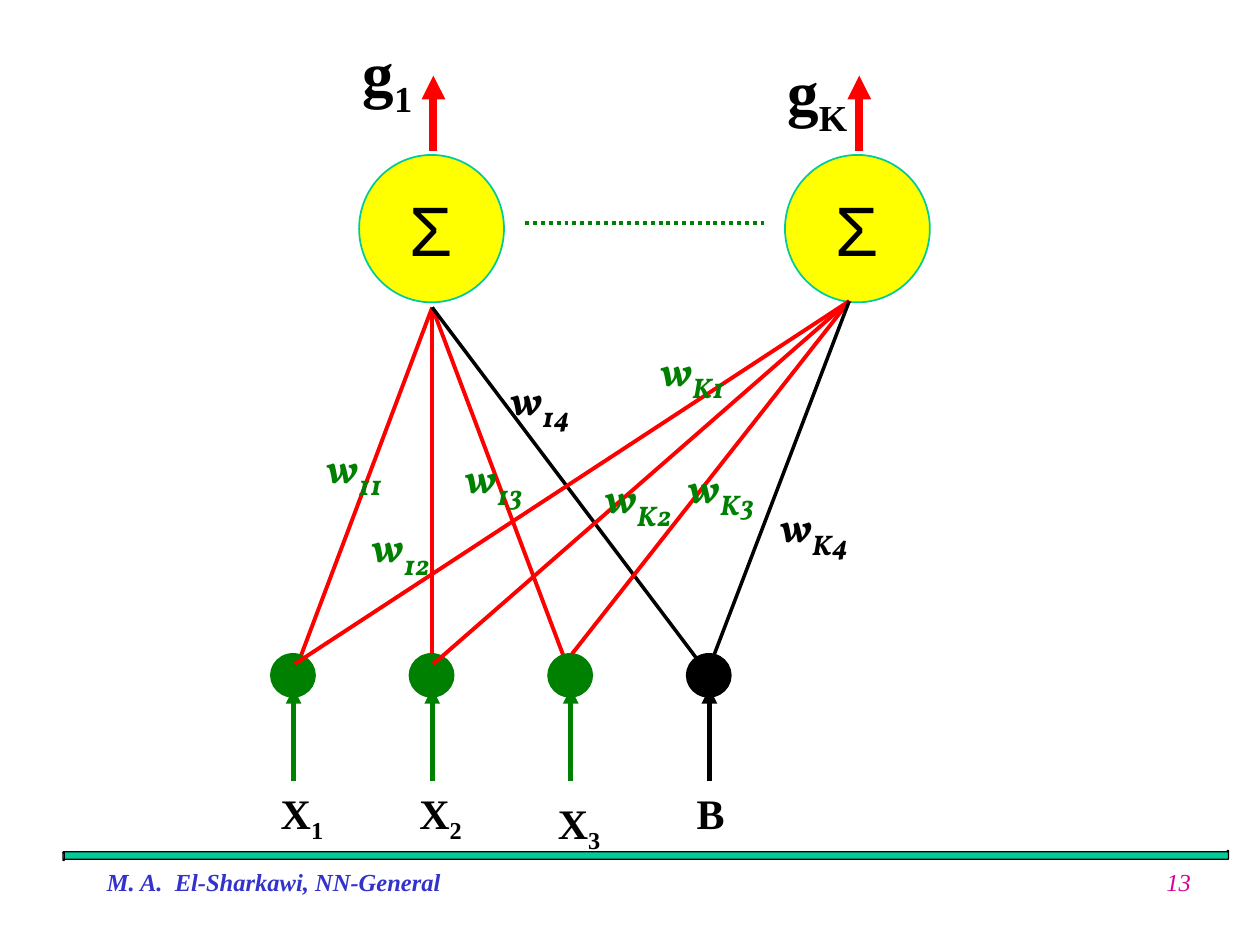
from dataclasses import dataclass

from lxml import etree
from pptx import Presentation
from pptx.dml.color import RGBColor
from pptx.enum.dml import MSO_LINE
from pptx.enum.shapes import MSO_CONNECTOR, MSO_SHAPE
from pptx.enum.text import MSO_ANCHOR, MSO_AUTO_SIZE, PP_ALIGN
from pptx.oxml.ns import qn
from pptx.util import Inches, Pt


@dataclass(frozen=True)
class Theme:
    black: str = "000000"
    green: str = "008000"
    red: str = "FF0000"
    yellow: str = "FFFF00"
    teal: str = "00CC99"
    blue: str = "3333CC"
    pink: str = "D60093"
    serif: str = "Times New Roman"
    weight_font: str = "Vollkorn"
    sigma_font: str = "Arial"
    footer_size: int = 14
    label_size: int = 24
    index_size: int = 28
    output_size: int = 36
    sigma_size: int = 40


theme = Theme()
rgb = RGBColor.from_string
presentation = Presentation()
presentation.slide_width, presentation.slide_height = Inches(10), Inches(7.5)
slide = presentation.slides.add_slide(presentation.slide_layouts[6])
shapes = slide.shapes


def add_line(start, end, color, width, arrow=False):
    line = shapes.add_connector(MSO_CONNECTOR.STRAIGHT, *map(Inches, start + end))
    line.line.color.rgb = rgb(color)
    line.line.width = Pt(width)
    if arrow:
        etree.SubElement(line.line._get_or_add_ln(), qn("a:tailEnd"), type="triangle")
    etree.SubElement(line._element.spPr, qn("a:effectLst"))
    return line


def add_label(box, text, size, font, color, index="", index_size=None,
              bold=True, italic=False, wrap=False, grow=True):
    """Add a text box whose optional index is set as a subscript."""
    frame = shapes.add_textbox(*map(Inches, box)).text_frame
    frame.word_wrap = wrap
    frame.auto_size = MSO_AUTO_SIZE.SHAPE_TO_FIT_TEXT if grow else MSO_AUTO_SIZE.NONE
    paragraph = frame.paragraphs[0]
    for part in filter(None, (text, index)):
        run = paragraph.add_run()
        run.text = part
        run.font.size = Pt(size)
        run.font.name = font
        run.font.bold, run.font.italic = bold, italic
        run.font.color.rgb = rgb(color)
    if index:
        run.font.size = Pt(index_size or size)
        run.font._element.set("baseline", "-25000")
    return paragraph


# Footer
rule = shapes.add_shape(MSO_SHAPE.HORIZONTAL_SCROLL,
                        Inches(0.5), Inches(6.75), Inches(9.25), Inches(0.08))
rule.shadow.inherit = False
rule.fill.solid()
rule.fill.fore_color.rgb = rgb(theme.teal)
rule.line.color.rgb = rgb(theme.black)
rule.line.width = Pt(0.75)
add_label((0.75, 6.83, 5.83, 0.5), "M. A.  El-Sharkawi, NN-General",
          theme.footer_size, theme.serif, theme.blue,
          italic=True, wrap=True, grow=False)
page_number = add_label((7.17, 6.83, 2.38, 0.5), "13", theme.footer_size, theme.serif,
                        theme.pink, bold=False, italic=True, wrap=True, grow=False)
page_number.alignment = PP_ALIGN.RIGHT

# Three inputs and the bias: symbol, index, label top, node colour
inputs = [("X", "1", 6.2, theme.green), ("X", "2", 6.2, theme.green),
          ("X", "3", 6.28, theme.green), ("B", "", 6.2, theme.black)]
input_xs = [2.33 + 1.1 * i for i in range(len(inputs))]
edge_styles = [(theme.red, 2.25)] * 3 + [(theme.black, 2)]

# Edges into the first neuron lie under the input nodes
for x, style in zip(input_xs, edge_styles):
    add_line((x, 5.36), (3.43, 2.44), *style)

for x, (symbol, index, top, color) in zip(input_xs, inputs):
    add_line((x, 6.2), (x, 5.46), color, 3, arrow=True)
    node = shapes.add_shape(MSO_SHAPE.OVAL, Inches(x - 0.18), Inches(5.19),
                            Inches(0.35), Inches(0.34))
    node.shadow.inherit = False
    node.fill.solid()
    node.fill.fore_color.rgb = node.line.color.rgb = rgb(color)
    node.line.width = Pt(1)
    add_label((x - 0.2, top, 0.54, 0.56), symbol, theme.label_size, theme.serif,
              theme.black, index)

# Summing neurons: left edge, output index, output label box
neurons = [(2.85, "1", (2.78, 0.22, 0.62, 0.79)), (6.23, "K", (6.15, 0.37, 0.76, 0.79))]
for left, index, output_box in neurons:
    output_x = left + 0.59
    add_line((output_x, 1.2), (output_x, 0.6), theme.red, 4.5, arrow=True)
    neuron = shapes.add_shape(MSO_SHAPE.OVAL, Inches(left), Inches(1.23),
                              Inches(1.15), Inches(1.17))
    neuron.shadow.inherit = False
    neuron.fill.solid()
    neuron.fill.fore_color.rgb = rgb(theme.yellow)
    neuron.line.color.rgb = rgb(theme.teal)
    neuron.line.width = Pt(1)
    frame = neuron.text_frame
    frame.word_wrap = False
    frame.vertical_anchor = MSO_ANCHOR.MIDDLE
    sigma = frame.paragraphs[0]
    sigma.text = "Σ"
    sigma.alignment = PP_ALIGN.CENTER
    sigma.runs[0].font.size = Pt(theme.sigma_size)
    sigma.runs[0].font.name = theme.sigma_font
    sigma.runs[0].font.color.rgb = rgb(theme.black)
    add_label(output_box, "g", theme.output_size, theme.serif, theme.black, index,
              wrap=True)

more_neurons = add_line((4.17, 1.77), (6.08, 1.77), theme.green, 2.25)
more_neurons.line.dash_style = MSO_LINE.ROUND_DOT

# Edges into the last neuron lie over the input nodes
for x, bottom, style in zip(input_xs, (5.27, 5.27, 5.19, 5.27), edge_styles):
    add_line((x + 0.01, bottom), (6.74, 2.39), *style)

# Weights: index, left, top, width
weights = [("11", 2.49, 3.4, 0.8), ("12", 2.85, 4.03, 0.74),
           ("13", 3.59, 3.48, 0.74), ("14", 3.95, 2.86, 0.74),
           ("K1", 5.14, 2.63, 0.84), ("K2", 4.7, 3.64, 0.84),
           ("K3", 5.36, 3.56, 0.84), ("K4", 6.09, 3.87, 0.78)]
for index, left, top, width in weights:
    color = theme.black if index.endswith("4") else theme.green
    add_label((left, top, width, 0.63), "w", theme.label_size, theme.weight_font,
              color, index, theme.index_size, italic=True)

presentation.save("out.pptx")
